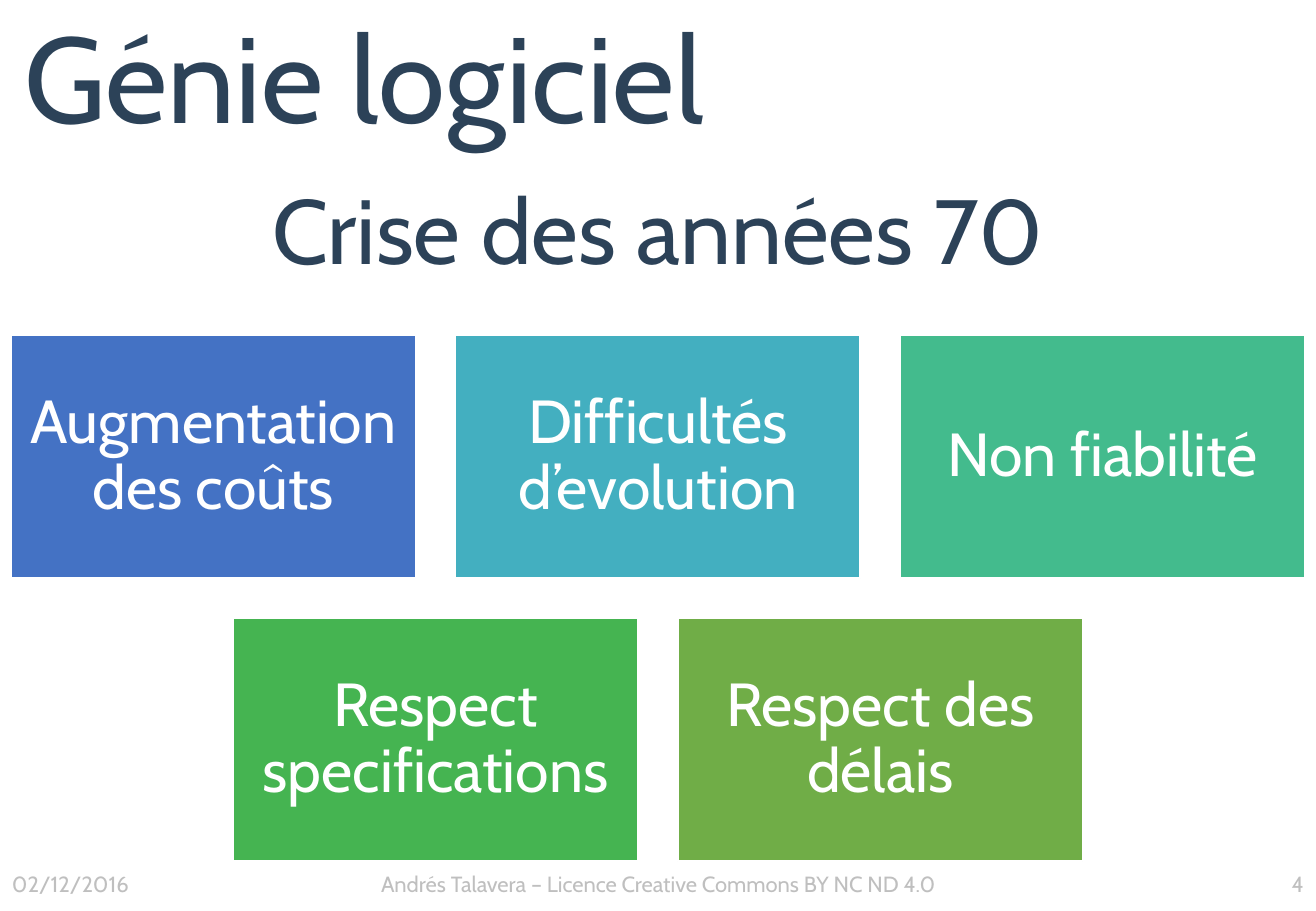
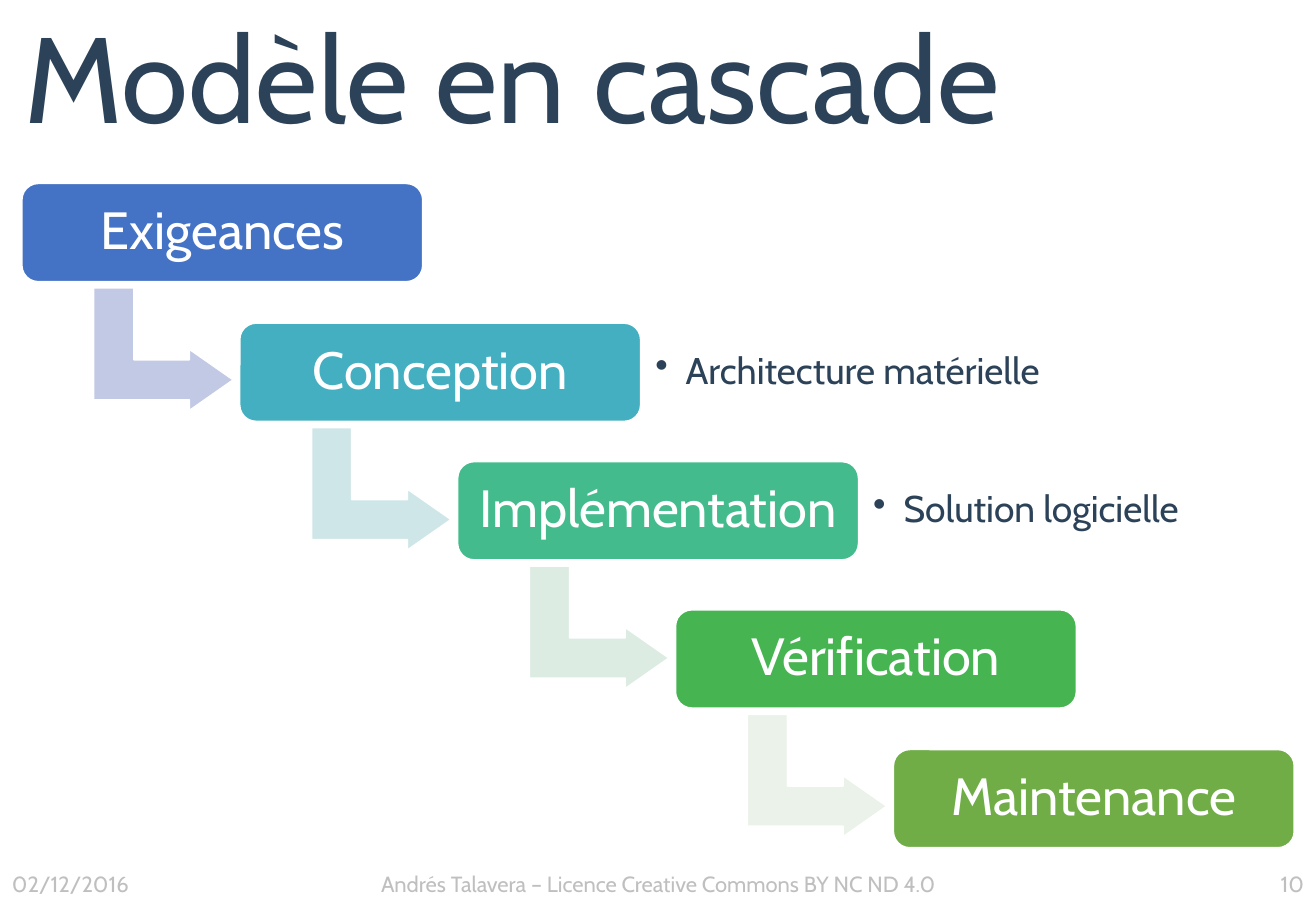
import pptx
import pptx.util
import pptx.dml.color
import pptx.enum.shapes
import pptx.enum.text
import lxml.etree
import pptx.oxml.ns

Inches = pptx.util.Inches
RGBColor = pptx.dml.color.RGBColor
SHAPES = pptx.enum.shapes.MSO_SHAPE
ALIGN = pptx.enum.text.PP_ALIGN
ANCHOR = pptx.enum.text.MSO_ANCHOR

FONT = "Cabin"
WHITE = RGBColor(0xFF, 0xFF, 0xFF)
NAVY = RGBColor(0x2C, 0x42, 0x58)
GREY = RGBColor(0xBF, 0xBF, 0xBF)
SERIES = [RGBColor(0x44, 0x72, 0xC4), RGBColor(0x43, 0xAF, 0xC0), RGBColor(0x43, 0xBB, 0x8D),
          RGBColor(0x45, 0xB4, 0x51), RGBColor(0x70, 0xAD, 0x47)]
TINTS = [RGBColor(0xC1, 0xC9, 0xE4), RGBColor(0xCF, 0xE6, 0xE8), RGBColor(0xDC, 0xEC, 0xE3),
         RGBColor(0xEB, 0xF2, 0xE9)]

WIDTH, HEIGHT = 10.83, 7.5
TITLE_HEIGHT = 1.38
FOOTER_HEIGHT = 0.41
FOOTER_SIDE = 2.13
FOOTER_TEXT = "Andrés Talavera – Licence Creative Commons BY NC ND 4.0"


def write(box, text, size, color=NAVY, align=ALIGN.LEFT, anchor=ANCHOR.MIDDLE,
          insets=(0.1, 0.1, 0.1, 0.1), spacing=0.9, bullet=None):
    """Fill a shape with one formatted paragraph; insets run left, top, right, bottom."""
    frame = box.text_frame
    frame.word_wrap = True
    frame.auto_size = pptx.enum.text.MSO_AUTO_SIZE.NONE
    frame.vertical_anchor = anchor
    (frame.margin_left, frame.margin_top,
     frame.margin_right, frame.margin_bottom) = map(Inches, insets)
    para = frame.paragraphs[0]
    para.alignment = align
    para.line_spacing = spacing
    if bullet:
        properties = para._p.get_or_add_pPr()
        properties.set("marL", str(Inches(0.25)))
        properties.set("indent", str(-Inches(0.25)))
        lxml.etree.SubElement(properties, pptx.oxml.ns.qn("a:buChar"), char=bullet)
    span = para.add_run()
    span.text = text
    span.font.name = FONT
    span.font.size = pptx.util.Pt(size)
    span.font.color.rgb = color


def add_block(page, kind, left, top, width, height, fill):
    """Add a flat shape with a thin white outline."""
    block = page.shapes.add_shape(kind, *map(Inches, (left, top, width, height)))
    block.shadow.inherit = False
    block.fill.solid()
    block.fill.fore_color.rgb = fill
    block.line.color.rgb = WHITE
    block.line.width = pptx.util.Pt(1)
    return block


deck = pptx.Presentation()
deck.slide_width, deck.slide_height = Inches(WIDTH), Inches(HEIGHT)

# Titles and footers
pages = []
for title, number in [("Génie logiciel", "4"), ("Modèle en cascade", "10")]:
    page = deck.slides.add_slide(deck.slide_layouts[5])
    pages.append(page)
    heading = page.shapes.title
    heading.left, heading.top = 0, 0
    heading.width, heading.height = Inches(WIDTH), Inches(TITLE_HEIGHT)
    write(heading, title, 72, insets=(0.2, 0, 0.2, 0))
    for left, width, text, align in [
        (0, FOOTER_SIDE, "02/12/2016", ALIGN.LEFT),
        (FOOTER_SIDE, WIDTH - 2 * FOOTER_SIDE, FOOTER_TEXT, ALIGN.CENTER),
        (WIDTH - FOOTER_SIDE, FOOTER_SIDE, number, ALIGN.RIGHT),
    ]:
        footer = page.shapes.add_textbox(Inches(left), Inches(HEIGHT - FOOTER_HEIGHT),
                                         Inches(width), Inches(FOOTER_HEIGHT))
        write(footer, text, 13, color=GREY, align=align, insets=(0.1, 0, 0.1, 0.04), spacing=1.0)
crisis_page, cascade_page = pages

# Crisis: centred rows of cards
subtitle = crisis_page.shapes.add_textbox(0, Inches(TITLE_HEIGHT), Inches(WIDTH), Inches(1.01))
write(subtitle, "Crise des années 70", 54, align=ALIGN.CENTER, anchor=ANCHOR.TOP,
      insets=(0.1, 0.05, 0.1, 0.05), spacing=1.0)

CARD_WIDTH, CARD_HEIGHT, CARD_GAP, CARDS_TOP = 3.33, 2, 0.33, 2.76
card_rows = [["Augmentation des coûts", "Difficultés d’evolution", "Non fiabilité"],
             ["Respect specifications", "Respect des délais"]]
card_colors = iter(SERIES)
for row, labels in enumerate(card_rows):
    row_width = len(labels) * (CARD_WIDTH + CARD_GAP) - CARD_GAP
    for column, label in enumerate(labels):
        card = add_block(crisis_page, SHAPES.RECTANGLE,
                         (WIDTH - row_width) / 2 + column * (CARD_WIDTH + CARD_GAP),
                         CARDS_TOP + row * (CARD_HEIGHT + CARD_GAP),
                         CARD_WIDTH, CARD_HEIGHT, next(card_colors))
        write(card, label, 36, color=WHITE, align=ALIGN.CENTER)

# Cascade: steps descending to the right
STEP_WIDTH, STEP_HEIGHT, STEP_SHIFT = 3.3, 0.81, 1.793
steps = [("Exigeances", 1.51, None),
         ("Conception", 2.66, "Architecture matérielle"),
         ("Implémentation", 3.8, "Solution logicielle"),
         ("Vérification", 5.02, None),
         ("Maintenance", 6.17, None)]
for index, (label, top, note) in enumerate(steps):
    left = 0.18 + index * STEP_SHIFT
    if index < len(TINTS):
        arrow = add_block(cascade_page, SHAPES.BENT_UP_ARROW, left + 0.66, top + 0.79,
                          1.01, 1.15, TINTS[index])
        arrow.rotation = 90
        for position, share in enumerate((0.328, 0.25, 0.358)):
            arrow.adjustments[position] = share
    step = add_block(cascade_page, SHAPES.ROUNDED_RECTANGLE, left, top,
                     STEP_WIDTH, STEP_HEIGHT, SERIES[index])
    step.adjustments[0] = 0.167
    write(step, label, 31, color=WHITE, align=ALIGN.CENTER)
    if note:
        remark = cascade_page.shapes.add_textbox(Inches(left + STEP_WIDTH), Inches(top),
                                                 Inches(3.5), Inches(STEP_HEIGHT))
        write(remark, note, 22, insets=(0.12, 0.12, 0.12, 0.12), bullet="•")

deck.save("out.pptx")
